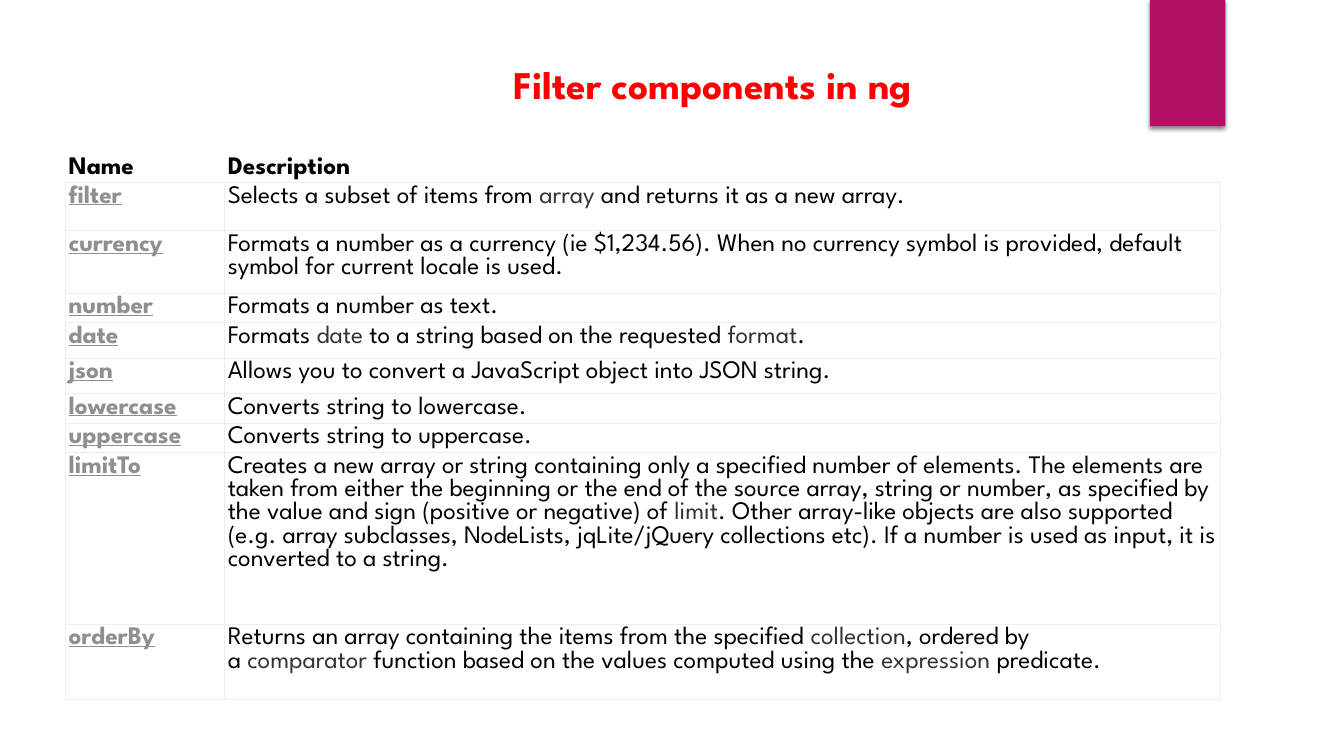
from pptx import Presentation
from pptx.dml.color import RGBColor
from pptx.enum.shapes import MSO_SHAPE as SHAPE
from pptx.enum.text import MSO_ANCHOR as ANCHOR, MSO_AUTO_SIZE as AUTO
from pptx.oxml import parse_xml
from pptx.oxml.ns import nsdecls
from pptx.util import Cm, Pt

COLORS = {"accent": "B31166", "title": "FF0000", "text": "000000", "link": "8F8F8F",
          "muted": "333333", "border": "EEEEEE", "white": "FFFFFF"}
FONT = "League Spartan"
HEADER = {"size": Pt(18), "bold": True}
LINK = {"size": Pt(18), "bold": True, "underline": True}
BODY = {"size": Pt(18), "bold": False}
COLUMNS = [4.01, 25.1]

# Row height in cm, filter name, description; words between bars are muted
FILTERS = [
    (1.22, "filter",
     "Selects a subset of items from\u00a0|array|\u00a0and returns it as a new array."),
    (1.57, "currency",
     "Formats a number as a currency (ie $1,234.56). When no currency symbol is "
     "provided, default symbol for current locale is used."),
    (0.53, "number", "Formats a number as text."),
    (0.89, "date",
     "Formats\u00a0|date|\u00a0to a string based on the requested\u00a0|format|."),
    (0.89, "json", "Allows you to convert a JavaScript object into JSON string."),
    (0.53, "lowercase", "Converts string to lowercase."),
    (0.53, "uppercase", "Converts string to uppercase."),
    (4.32, "limitTo",
     "Creates a new array or string containing only a specified number of elements. "
     "The elements are taken from either the beginning or the end of the source array, "
     "string or number, as specified by the value and sign (positive or negative) "
     "of\u00a0|limit|. Other array-like objects are also supported (e.g. array "
     "subclasses, NodeLists, jqLite/jQuery collections etc). If a number is used as "
     "input, it is converted to a string."),
    (1.9, "orderBy",
     "Returns an array containing the items from the specified\u00a0|collection|, "
     "ordered by a\u00a0|comparator|\u00a0function based on the values computed using "
     "the\u00a0|expression|\u00a0predicate."),
]


def rgb(name):
    """Return the named colour."""
    return RGBColor.from_string(COLORS[name])


def add_run(p, text, color, fmt):
    """Add a run with the given colour and font attributes."""
    r = p.add_run()
    r.text = text
    r.font.name = FONT
    r.font.color.rgb = rgb(color)
    for key, value in fmt.items():
        setattr(r.font, key, value)


def add_tab(s):
    """Add the coloured tab with its soft shadow at the top edge."""
    sp = s.shapes.add_shape(SHAPE.RECTANGLE, Cm(28.98), Cm(0), Cm(1.9), Cm(3.18))
    sp.shadow.inherit = False
    sp.fill.solid()
    sp.fill.fore_color.rgb = rgb("accent")
    sp.line.fill.background()
    effects = sp.element.spPr.find("{*}effectLst")
    effects.append(parse_xml(
        f'<a:outerShdw {nsdecls("a")} blurRad="{Pt(3)}" dist="{Pt(2)}" dir="5400000" '
        f'rotWithShape="0"><a:srgbClr val="{COLORS["text"]}"><a:alpha val="45000"/>'
        '</a:srgbClr></a:outerShdw>'))


def add_title(s, text):
    """Add the title as a text box that fits its text."""
    tf = s.shapes.add_textbox(Cm(12.7), Cm(1.4), Cm(11.73), Cm(1.45)).text_frame
    tf.word_wrap = False
    tf.auto_size = AUTO.SHAPE_TO_FIT_TEXT
    add_run(tf.paragraphs[0], text, "title", {"size": Pt(28), "bold": True})


def set_borders(cell, sides):
    """Draw the listed sides of a cell and clear the others."""
    tcPr = cell._tc.get_or_add_tcPr()
    for i, side in enumerate("LRTB"):
        fill = (f'<a:solidFill><a:srgbClr val="{COLORS["border"]}"/></a:solidFill>'
                if side in sides else "<a:noFill/>")
        tcPr.insert(i, parse_xml(
            f'<a:ln{side} {nsdecls("a")} w="{Pt(0.75)}">{fill}</a:ln{side}>'))


def fill_cell(cell, text, color, fmt, sides="LRTB", pad=0.08, anchor=ANCHOR.TOP):
    """Write a cell, muting every second part of its text."""
    layout = {"margin_left": Cm(0.08), "margin_right": Cm(0.08), "margin_top": Cm(pad),
              "margin_bottom": Cm(pad), "vertical_anchor": anchor}
    for key, value in layout.items():
        setattr(cell, key, value)
    cell.fill.solid()
    cell.fill.fore_color.rgb = rgb("white")
    set_borders(cell, sides)
    for i, part in enumerate(text.split("|")):
        add_run(cell.text_frame.paragraphs[0], part, "muted" if i % 2 else color, fmt)


def add_filter_table(s):
    """Add the table of filters and their descriptions."""
    heights = [0.46] + [height for height, _, _ in FILTERS]
    table = s.shapes.add_table(len(heights), len(COLUMNS), Cm(1.65), Cm(3.91),
                               Cm(sum(COLUMNS)), Cm(sum(heights))).table
    table.first_row = table.horz_banding = False
    for column, width in zip(table.columns, COLUMNS):
        column.width = Cm(width)
    for row, height in zip(table.rows, heights):
        row.height = Cm(height)
    for col, heading in enumerate(["Name", "Description"]):
        fill_cell(table.cell(0, col), heading, "text", HEADER, "B", 0.05, ANCHOR.MIDDLE)
    for row, (_, name, description) in enumerate(FILTERS, 1):
        fill_cell(table.cell(row, 0), name, "link", LINK)
        fill_cell(table.cell(row, 1), description, "text", BODY)


def main():
    """Build the slide and save it."""
    prs = Presentation()
    prs.slide_width, prs.slide_height = Cm(33.87), Cm(19.05)
    s = prs.slides.add_slide(prs.slide_layouts[6])
    add_tab(s)
    add_filter_table(s)
    add_title(s, "Filter components in\u00a0ng")
    prs.save("out.pptx")


main()
